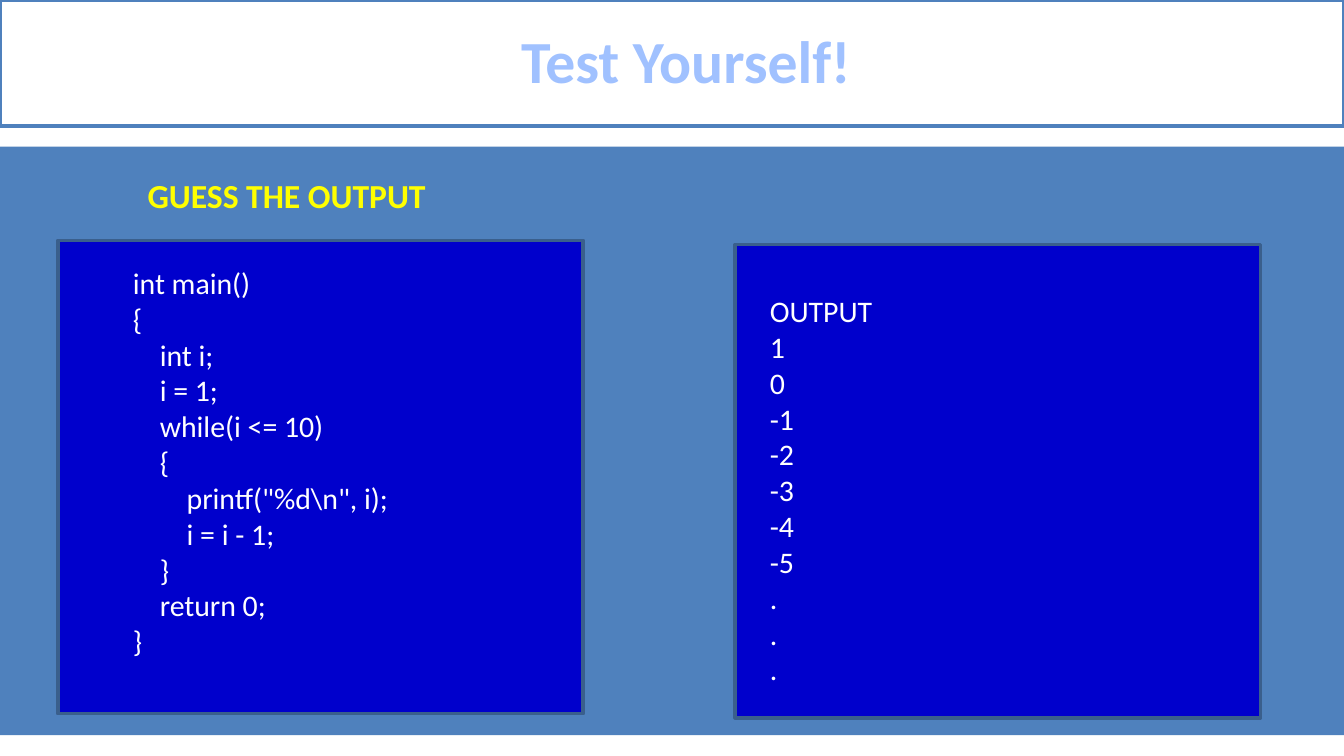
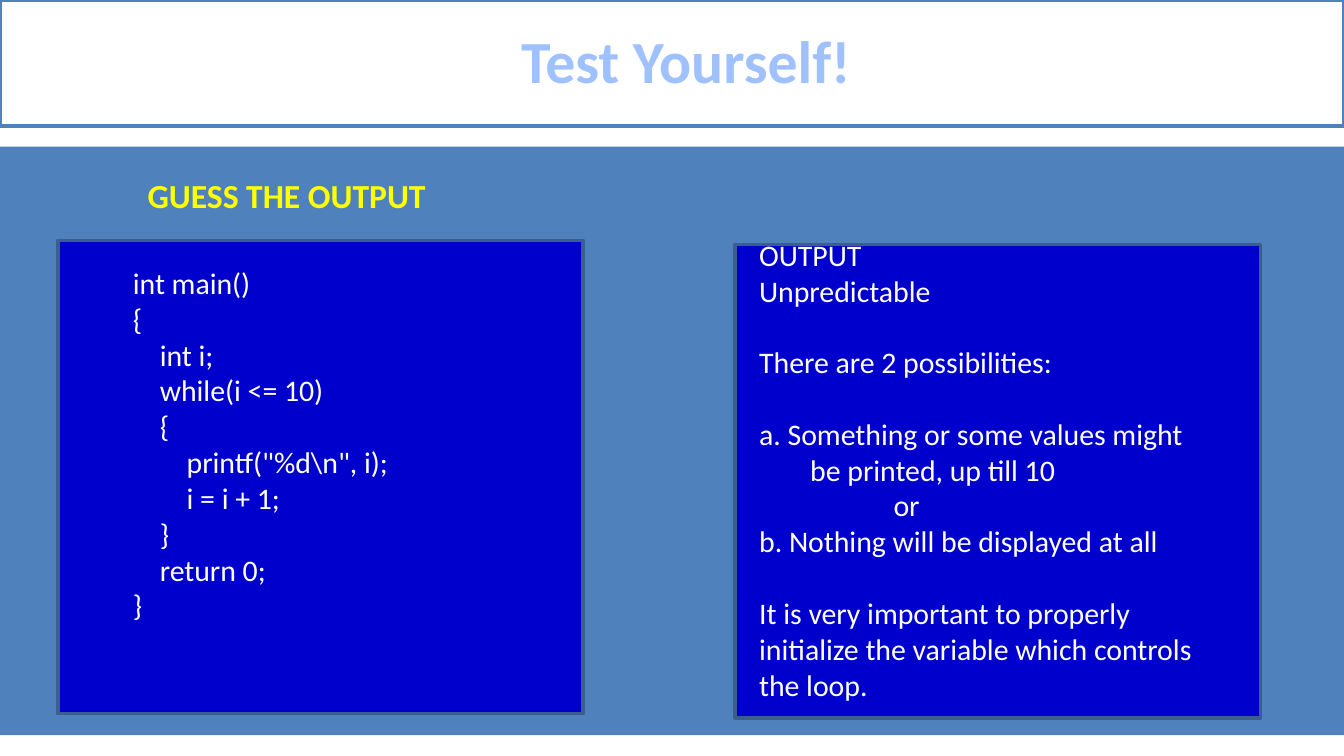
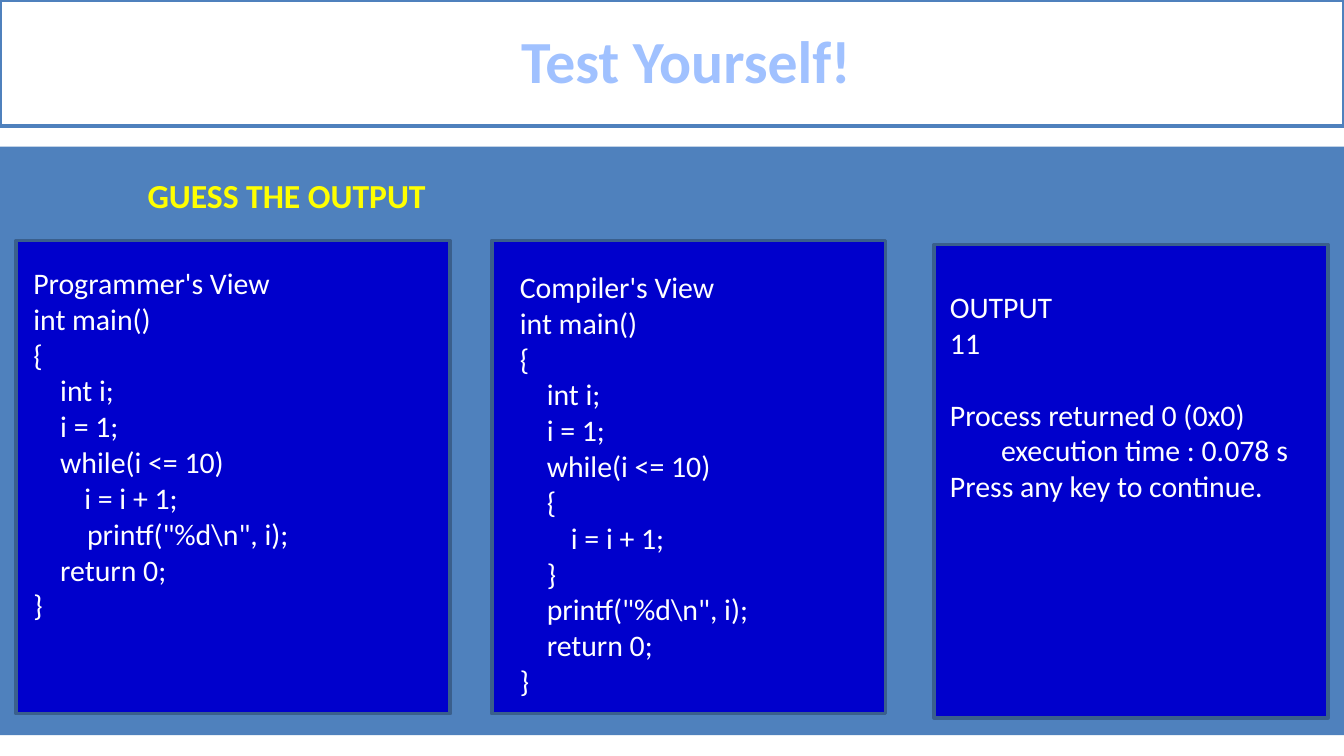
from collections import namedtuple

from pptx import Presentation
from pptx.dml.color import RGBColor
from pptx.enum import shapes, text
from pptx.util import Inches, Pt

WHITE = RGBColor(0xFF, 0xFF, 0xFF)
YELLOW = RGBColor(0xFF, 0xFF, 0x00)
SKY = RGBColor(0xA0, 0xC1, 0xFF)
STEEL = RGBColor(0x4F, 0x81, 0xBD)
SLATE = RGBColor(0x3A, 0x5F, 0x8C)
NAVY = RGBColor(0x00, 0x00, 0xCC)

FONT = "Calibri"
TITLE_ONLY = 5
HANG = 0.38
CODE_MARGIN = 0.88
CODE_TOP = 1.79
OUTPUT_TOP = 1.82
BLANK_ROW = 19.2

Line = namedtuple("Line", "words margin gap", defaults=(None, 0))

COUNT_DOWN = """int main()
{
    int i;
    i = 1;
    while(i <= 10)
    {
        printf("%d\\n", i);
        i = i - 1;
    }
    return 0;
}"""

NO_START_VALUE = """int main()
{
    int i;
    while(i <= 10)
    {
        printf("%d\\n", i);
        i = i + 1;
    }
    return 0;
}"""

PROGRAMMER_VIEW = """Programmer's View
int main()
{
    int i;
    i = 1;
    while(i <= 10)
\ti = i + 1;
        printf("%d\\n", i);
    return 0;
}"""

COMPILER_VIEW = """Compiler's View
int main()
{
    int i;
    i = 1;
    while(i <= 10)
    {
\ti = i + 1;
    }
    printf("%d\\n", i);
    return 0;
}"""


def write(frame, lines, size=16, color=WHITE, bold=False, align=None,
          margin=HANG, hang=HANG, spacing=None):
    """Fill a text frame with one paragraph for each string or Line."""
    frame.word_wrap = True
    for index, item in enumerate(lines):
        line = item if isinstance(item, Line) else Line(item)
        paragraph = frame.add_paragraph() if index else frame.paragraphs[0]
        left = margin if line.margin is None else line.margin
        properties = paragraph._p.get_or_add_pPr()
        properties.set("marL", str(Inches(left)))
        properties.set("indent", str(Inches(-hang)))
        paragraph.alignment = align
        paragraph.line_spacing = spacing
        paragraph.space_before = Pt(line.gap)
        run = paragraph.add_run()
        run.text = line.words
        run.font.name = FONT
        run.font.size = Pt(size)
        run.font.bold = bold
        run.font.color.rgb = color


class QuizDeck:
    def __init__(self):
        self.deck = Presentation()
        self.deck.slide_width = Inches(10)
        self.deck.slide_height = Inches(10) * 9 // 16
        self.slide = None

    def start_slide(self):
        layout = self.deck.slide_layouts[TITLE_ONLY]
        self.slide = self.deck.slides.add_slide(layout)
        self.rectangle(0, 1.09, 10, 4.38, STEEL)
        self.title("Test Yourself!")

    def title(self, words):
        heading = self.slide.shapes.title
        heading.left, heading.top = Inches(0), Inches(0)
        heading.width, heading.height = Inches(10), Inches(0.94)
        heading.fill.solid()
        heading.fill.fore_color.rgb = WHITE
        heading.line.color.rgb = STEEL
        heading.line.width = Pt(2)
        frame = heading.text_frame
        frame.vertical_anchor = text.MSO_ANCHOR.MIDDLE
        write(frame, [words], size=32, color=SKY, bold=True,
              align=text.PP_ALIGN.CENTER, margin=0.21, hang=0, spacing=0.96)

    def rectangle(self, left, top, width, height, fill, line=None):
        box = self.slide.shapes.add_shape(
            shapes.MSO_SHAPE.RECTANGLE, Inches(left), Inches(top),
            Inches(width), Inches(height))
        box.shadow.inherit = False
        box.fill.solid()
        box.fill.fore_color.rgb = fill
        if line is None:
            box.line.fill.background()
        else:
            box.line.color.rgb = line
            box.line.width = Pt(2)

    def panel(self, left, top, width):
        self.rectangle(left, top, width, 3.52, NAVY, SLATE)

    def text(self, left, top, width, height, lines, **style):
        box = self.slide.shapes.add_textbox(
            Inches(left), Inches(top), Inches(width), Inches(height))
        write(box.text_frame, lines, **style)
        box.text_frame.auto_size = text.MSO_AUTO_SIZE.SHAPE_TO_FIT_TEXT

    def question(self):
        self.text(0, 1.25, 10, 0.4, ["GUESS THE OUTPUT"], size=18,
                  color=YELLOW, bold=True, margin=1, hang=0)

    def listing(self, left, top, width, code):
        lines = code.split("\n")
        self.text(left, top, width, 0.27 * len(lines) + 0.09, lines,
                  margin=CODE_MARGIN)

    def guess_slide(self, code, output_left, output_top, output_height, output):
        """Add a slide with one program beside its output."""
        self.start_slide()
        self.panel(0.43, CODE_TOP, 3.91)
        self.listing(0.39, 1.92, 4.69, code)
        self.question()
        self.panel(5.47, OUTPUT_TOP, 3.91)
        self.text(output_left, output_top, 3.52, output_height, output)

    def two_views_slide(self, output):
        self.start_slide()
        self.panel(0.12, CODE_TOP, 3.23)
        self.listing(-0.35, 1.92, 3.2, PROGRAMMER_VIEW)
        self.question()
        self.panel(6.95, OUTPUT_TOP, 2.93)
        self.text(6.97, 2.1, 3.2, 1.72, output)
        self.panel(3.66, CODE_TOP, 2.93)
        self.listing(3.27, 1.95, 3.2, COMPILER_VIEW)


def main():
    quiz = QuizDeck()
    countdown = [str(value) for value in range(1, -6, -1)]
    quiz.guess_slide(COUNT_DOWN, 5.63, 2.13, 3.06,
                     ["OUTPUT", *countdown, ".", ".", "."])
    quiz.guess_slide(NO_START_VALUE, 5.55, 1.71, 3.6, [
        "OUTPUT",
        "Unpredictable",
        Line("There are 2 possibilities:", gap=BLANK_ROW),
        Line("a. Something or some values might be printed, up till 10",
             gap=BLANK_ROW),
        Line("or", margin=1.38),
        "b. Nothing will be displayed at all",
        Line("It is very important to properly", gap=BLANK_ROW),
        "initialize the variable which controls",
        "the loop.",
    ])
    quiz.two_views_slide([
        "OUTPUT",
        "11",
        Line("Process returned 0 (0x0) execution time : 0.078 s",
             gap=BLANK_ROW),
        "Press any key to continue.",
    ])
    quiz.deck.save("out.pptx")


if __name__ == "__main__":
    main()
